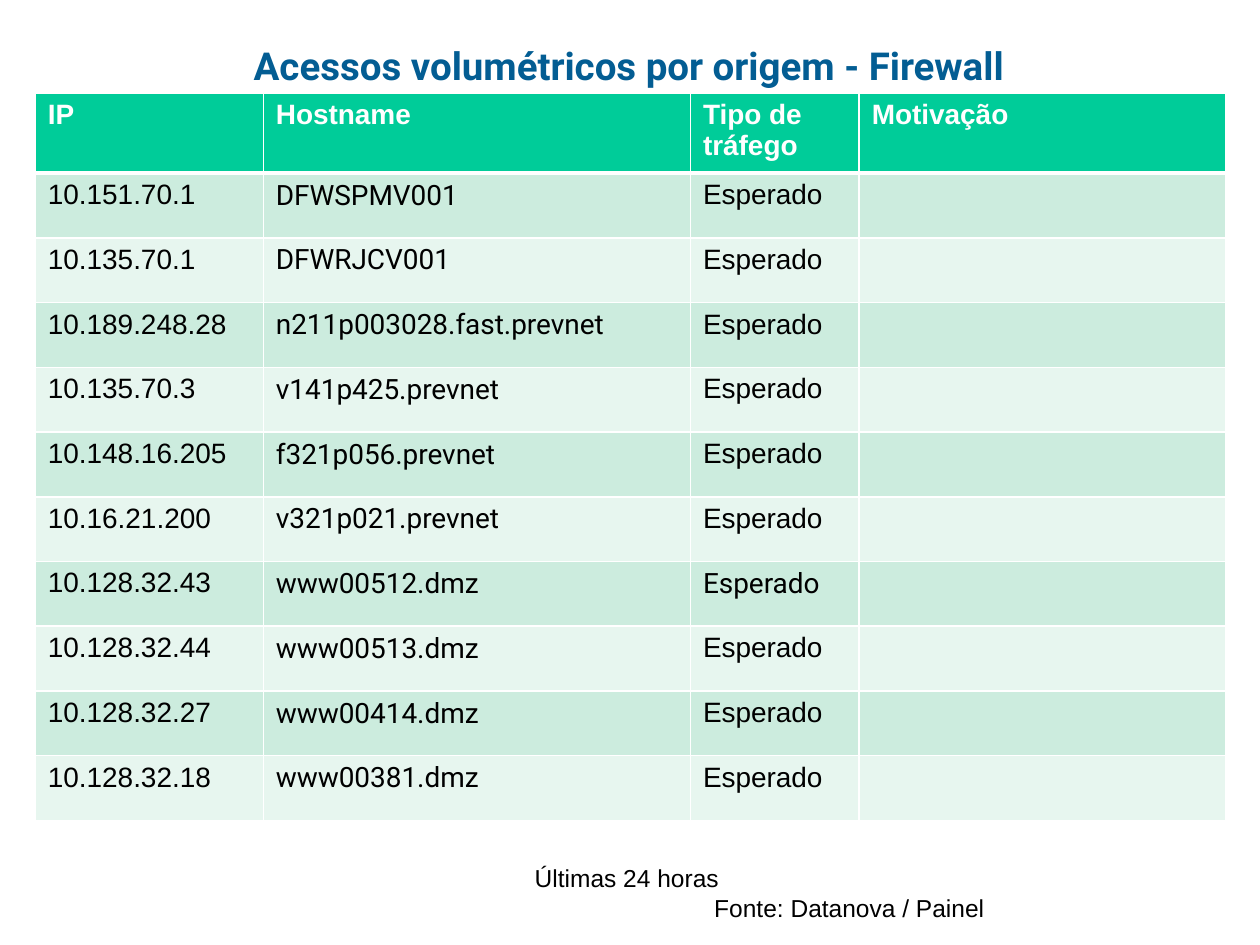
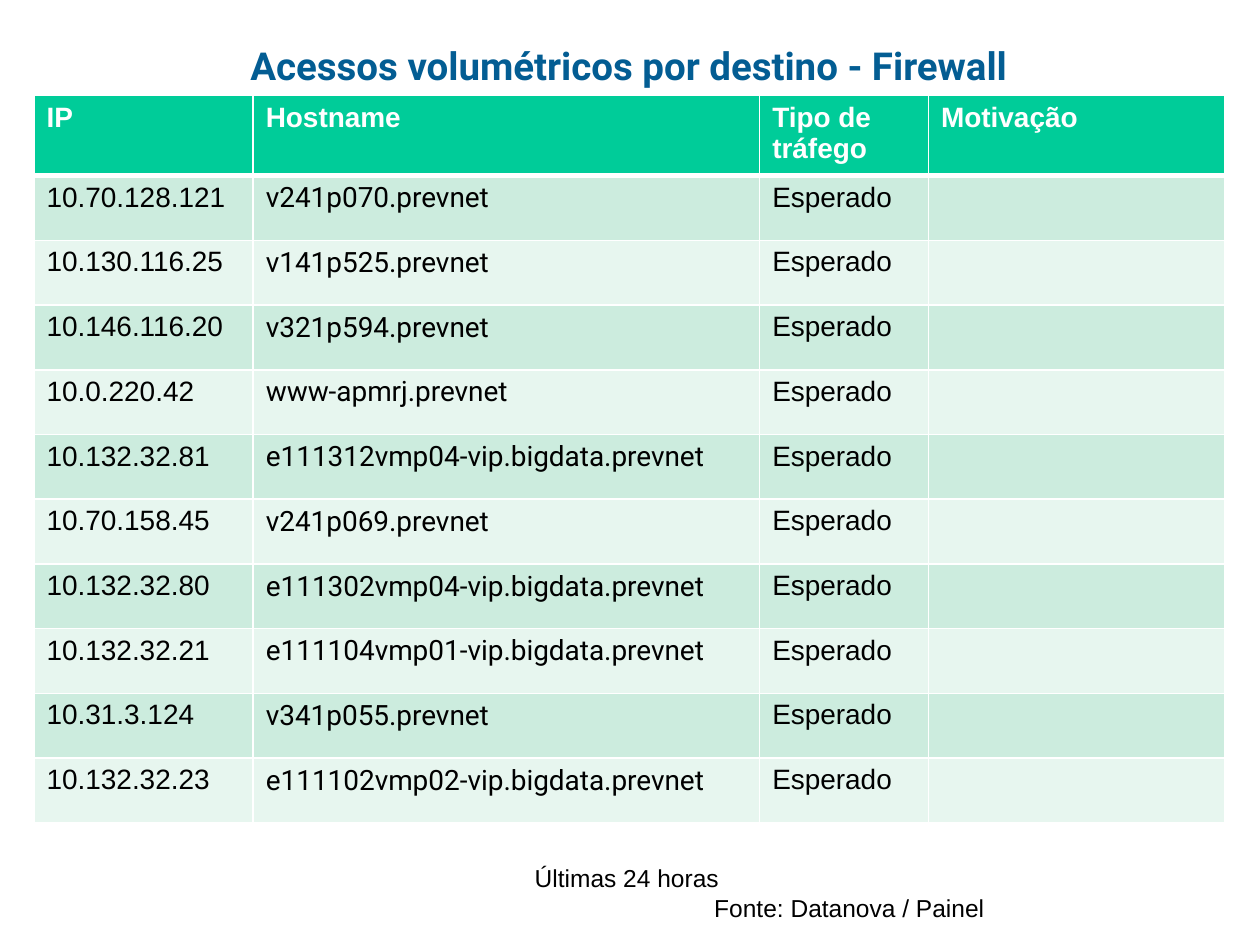
"""Build two slides that list firewall traffic by source and by target."""
from lxml import etree
from pptx import Presentation
from pptx import util as u
from pptx.dml.color import RGBColor
from pptx.enum import text
from pptx.oxml import ns

HEAD = ["IP", "Hostname", "Tipo de tráfego", "Motivação"]
SOURCE = [
    ("10.151.70.1", "DFWSPMV001"),
    ("10.135.70.1", "DFWRJCV001"),
    ("10.189.248.28", "n211p003028.fast.prevnet"),
    ("10.135.70.3", "v141p425.prevnet"),
    ("10.148.16.205", "f321p056.prevnet"),
    ("10.16.21.200", "v321p021.prevnet"),
    ("10.128.32.43", "www00512.dmz"),
    ("10.128.32.44", "www00513.dmz"),
    ("10.128.32.27", "www00414.dmz"),
    ("10.128.32.18", "www00381.dmz"),
]
TARGET = [
    ("10.70.128.121", "v241p070.prevnet"),
    ("10.130.116.25", "v141p525.prevnet"),
    ("10.146.116.20", "v321p594.prevnet"),
    ("10.0.220.42", "www-apmrj.prevnet"),
    ("10.132.32.81", "e111312vmp04-vip.bigdata.prevnet"),
    ("10.70.158.45", "v241p069.prevnet"),
    ("10.132.32.80", "e111302vmp04-vip.bigdata.prevnet"),
    ("10.132.32.21", "e111104vmp01-vip.bigdata.prevnet"),
    ("10.31.3.124", "v341p055.prevnet"),
    ("10.132.32.23", "e111102vmp02-vip.bigdata.prevnet"),
]


def color(code):
    return RGBColor.from_string(code)


class Deck:
    """Hold the style and the current slide."""

    BLUE, GREEN, BLACK, WHITE = "035D93", "00CC99", "000000", "FFFFFF"
    BANDS = ("CCECDE", "E7F6EF")
    SANS, TECH = "Arial", "Roboto"
    TALL, TOP = 5.77, 0.63

    def __init__(self):
        self.prs = Presentation()
        self.prs.slide_width = u.Inches(10)
        self.prs.slide_height = u.Inches(7.5)

    def run(self, para, words, size, font, tint, bold=False):
        run = para.add_run()
        run.text = words
        run.font.size = u.Pt(size)
        run.font.name = font
        run.font.bold = bold
        run.font.color.rgb = color(tint)

    def page(self, title):
        self.slide = self.prs.slides.add_slide(self.prs.slide_layouts[5])
        shape = self.slide.shapes.title
        shape.left, shape.top = u.Inches(0.72), u.Inches(0.28)
        shape.width, shape.height = u.Inches(8.54), u.Inches(0.44)
        frame = shape.text_frame
        frame.auto_size = text.MSO_AUTO_SIZE.NONE
        frame.vertical_anchor = text.MSO_ANCHOR.TOP
        para = frame.paragraphs[0]
        para.alignment = text.PP_ALIGN.CENTER
        self.run(para, title, 22, self.TECH, self.BLUE, True)

    def note(self, words, left, top, width, align):
        box = self.slide.shapes.add_textbox(
            u.Inches(left), u.Inches(top), u.Inches(width), u.Inches(0.34))
        box.text_frame.word_wrap = True
        para = box.text_frame.paragraphs[0]
        para.alignment = align
        self.run(para, words, 14, self.SANS, self.BLACK)

    def foot(self):
        self.note("Fonte: Datanova / Painel", 5.57, 7.04, 3.69, text.PP_ALIGN.LEFT)
        self.note("Últimas 24 horas", 3.48, 6.8, 2.99, text.PP_ALIGN.CENTER)

    def edge(self, cell, row):
        sides = {"L": 1, "R": 1, "T": 3 if row == 1 else 1, "B": 1 if row else 3}
        props = cell._tc.get_or_add_tcPr()
        for spot, (side, width) in enumerate(sides.items()):
            line = etree.Element(ns.qn(f"a:ln{side}"), w=str(u.Pt(width)))
            fill = etree.SubElement(line, ns.qn("a:solidFill"))
            etree.SubElement(fill, ns.qn("a:srgbClr"), val=self.WHITE)
            props.insert(spot, line)

    def cell(self, cell, words, row, font):
        cell.fill.solid()
        cell.fill.fore_color.rgb = color(self.BANDS[(row - 1) % 2] if row else self.GREEN)
        self.edge(cell, row)
        if words:
            tint = self.BLACK if row else self.WHITE
            self.run(cell.text_frame.paragraphs[0], words, 16, font, tint, not row)

    def table(self, hosts, left, top, widths, odd=None):
        rows = [HEAD] + [(ip, host, "Esperado", "") for ip, host in hosts]
        grid = self.slide.shapes.add_table(
            len(rows), len(HEAD), u.Inches(left), u.Inches(top),
            u.Inches(sum(widths)), u.Inches(self.TALL)).table
        for col, width in zip(grid.columns, widths):
            col.width = u.Inches(width)
        step = (self.TALL - self.TOP) / len(hosts)
        for r, row in enumerate(rows):
            grid.rows[r].height = u.Inches(step if r else self.TOP)
            for c, words in enumerate(row):
                tech = r and (c == 1 or (r, c) == odd)
                self.cell(grid.cell(r, c), words, r, self.TECH if tech else self.SANS)


def main():
    deck = Deck()
    deck.page("Acessos volumétricos por origem - Firewall")
    deck.foot()
    deck.table(SOURCE, 0.28, 0.74, (1.81, 3.39, 1.34, 2.91), odd=(7, 2))
    deck.page("Acessos volumétricos por destino - Firewall")
    deck.foot()
    deck.table(TARGET, 0.27, 0.76, (1.74, 4.02, 1.34, 2.35))
    deck.prs.save("out.pptx")


if __name__ == "__main__":
    main()
